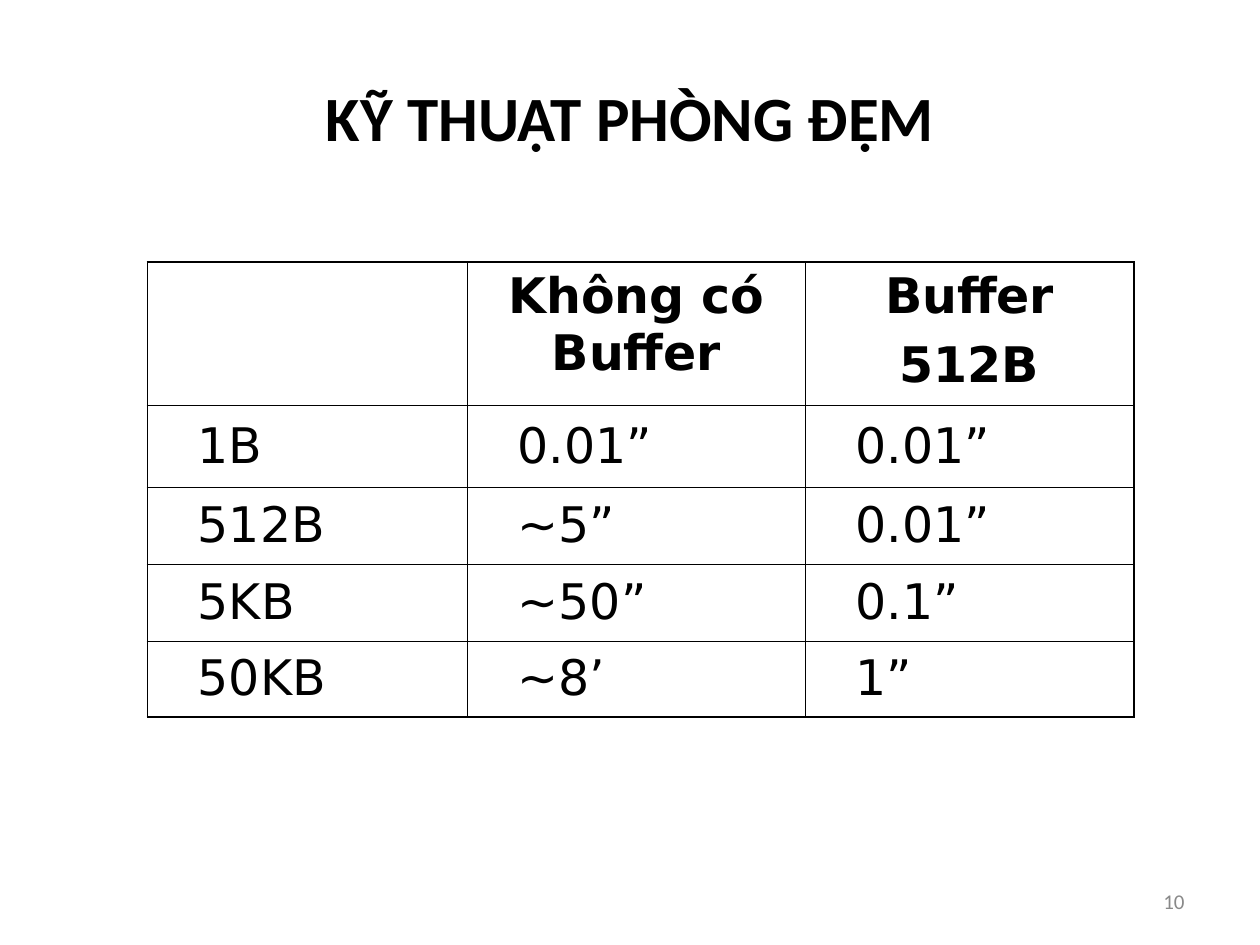
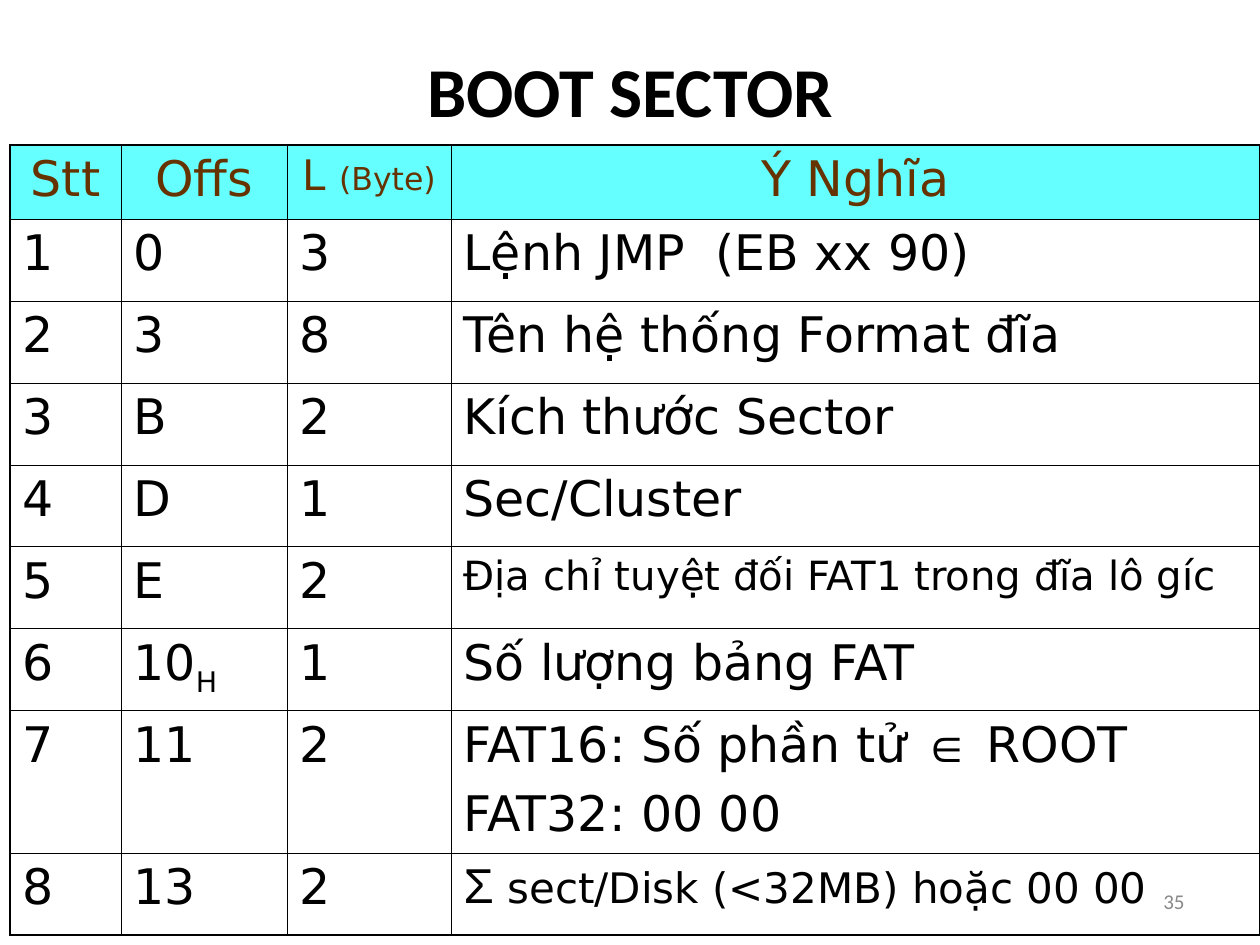
from dataclasses import dataclass

from lxml import etree
from pptx import Presentation
from pptx import util as u
from pptx.dml import color
from pptx.enum import text
from pptx.oxml import ns

BLACK, GREY, BROWN, CYAN = "000000", "898989", "663300", "66FFFF"
HEADING_FONT, TABLE_FONT, SYMBOL_FONT = "Calibri", "DejaVu Sans", "Arial"
THIN, THICK = 0.45, 1.08
CENTER, LEFT, RIGHT = text.PP_ALIGN.CENTER, text.PP_ALIGN.LEFT, text.PP_ALIGN.RIGHT
TOP, MIDDLE = text.MSO_ANCHOR.TOP, text.MSO_ANCHOR.MIDDLE


@dataclass
class Run:
    text: str
    size: float = 28
    font: str = TABLE_FONT
    subscript: bool = False


@dataclass
class CellStyle:
    color: str = BLACK
    bold: bool = False
    fill: str | None = None
    align: text.PP_ALIGN = LEFT
    anchor: text.MSO_ANCHOR = TOP
    indent: float = 0.1


Cell = str | list[list[Run]]


@dataclass
class Grid:
    left: float
    top: float
    cols: list[float]
    rows: list[float]
    cells: list[list[Cell]]
    header: CellStyle
    body: CellStyle


@dataclass
class TableSlide:
    title: str
    title_size: float
    title_height: float
    number: str
    grid: Grid


BUFFER_TIMES = Grid(
    1.17, 2.08, [2.54, 2.68, 2.61], [1.14, 0.65, 0.61, 0.61, 0.6],
    [
        ["", "Không có Buffer", "Buffer\n512B"],
        ["1B", "0.01”", "0.01”"],
        ["512B", "~5”", "0.01”"],
        ["5KB", "~50”", "0.1”"],
        ["50KB", "~8’", "1”"],
    ],
    header=CellStyle(bold=True, align=CENTER),
    body=CellStyle(anchor=MIDDLE, indent=0.4),
)

BOOT_FIELDS = Grid(
    0.08, 1.15, [0.88, 1.32, 1.3, 6.42], [0.59] + [0.65] * 6 + [1.13, 0.65],
    [
        ["Stt", "Offs", [[Run("L ", 24), Run("(Byte)", 18)]], "Ý Nghĩa"],
        ["1", "0", "3", "Lệnh JMP  (EB xx 90)"],
        ["2", "3", "8", "Tên hệ thống Format đĩa"],
        ["3", "B", "2", "Kích thước Sector"],
        ["4", "D", "1", "Sec/Cluster"],
        ["5", "E", "2", [[Run("Địa chỉ tuyệt đối FAT1 trong đĩa lô gíc", 23)]]],
        ["6", [[Run("10"), Run("H", subscript=True)]], "1", "Số lượng bảng FAT"],
        ["7", "11", "2", [
            [Run("FAT16: Số phần tử "), Run("∈", font=SYMBOL_FONT), Run(" ROOT")],
            [Run("FAT32: 00 00")],
        ]],
        ["8", "13", "2", [
            [Run("Σ ", font=SYMBOL_FONT), Run("sect/Disk (<32MB) hoặc 00 00", 24)],
        ]],
    ],
    header=CellStyle(color=BROWN, fill=CYAN, align=CENTER),
    body=CellStyle(),
)

SLIDES = [
    TableSlide("KỸ THUẬT PHÒNG ĐỆM", 36, 1.25, "10", BUFFER_TIMES),
    TableSlide("BOOT SECTOR", 40, 0.82, "35", BOOT_FIELDS),
]


def rgb(value: str) -> color.RGBColor:
    return color.RGBColor.from_string(value)


def add_run(p, run: Run, hex_color: str, bold: bool = False) -> None:
    r = p.add_run()
    r.text = run.text
    r.font.name = run.font
    r.font.size = u.Pt(run.size)
    r.font.bold = bold
    r.font.color.rgb = rgb(hex_color)
    if run.subscript:
        r.font._element.set("baseline", "-25000")


def add_border(cell, side: str, width: float) -> None:
    tc_pr = cell._tc.get_or_add_tcPr()
    ln = etree.SubElement(tc_pr, ns.qn(f"a:ln{side}"), w=str(u.Pt(width)))
    fill = etree.SubElement(ln, ns.qn("a:solidFill"))
    etree.SubElement(fill, ns.qn("a:srgbClr"), val=BLACK)


def fill_cell(cell, content: Cell, style: CellStyle) -> None:
    if style.fill:
        cell.fill.solid()
        cell.fill.fore_color.rgb = rgb(style.fill)
    else:
        cell.fill.background()
    cell.vertical_anchor = style.anchor
    cell.margin_left = u.Inches(style.indent)
    if not content:
        return
    if isinstance(content, str):
        content = [[Run(line)] for line in content.split("\n")]
    tf = cell.text_frame
    for i, runs in enumerate(content):
        p = tf.add_paragraph() if i else tf.paragraphs[0]
        p.alignment = style.align
        p.space_before = u.Pt(runs[-1].size / 4)
        for run in runs:
            add_run(p, run, style.color, style.bold)


def add_grid(s, grid: Grid) -> None:
    n_rows, n_cols = len(grid.rows), len(grid.cols)
    table = s.shapes.add_table(
        n_rows, n_cols, u.Inches(grid.left), u.Inches(grid.top),
        u.Inches(sum(grid.cols)), u.Inches(sum(grid.rows)),
    ).table
    table.first_row = table.horz_banding = False
    for column, width in zip(table.columns, grid.cols):
        column.width = u.Inches(width)
    for i, height in enumerate(grid.rows):
        table.rows[i].height = u.Inches(height)
        for j, content in enumerate(grid.cells[i]):
            cell = table.cell(i, j)
            outer = {"L": j == 0, "R": j == n_cols - 1, "T": i == 0, "B": i == n_rows - 1}
            for side, is_outer in outer.items():
                add_border(cell, side, THICK if is_outer else THIN)
            fill_cell(cell, content, grid.body if i else grid.header)


def add_number(s, number: str) -> None:
    sp = s.shapes.add_textbox(u.Inches(7.17), u.Inches(6.95), u.Inches(2.33), u.Inches(0.4))
    tf = sp.text_frame
    tf.word_wrap = True
    tf.vertical_anchor = MIDDLE
    p = tf.paragraphs[0]
    p.alignment = RIGHT
    add_run(p, Run(number, 12, HEADING_FONT), GREY)


def set_title(s, title: str, size: float, height: float) -> None:
    sp = s.shapes.title
    sp.left, sp.top = u.Inches(0.5), u.Inches(0.3)
    sp.width, sp.height = u.Inches(9), u.Inches(height)
    tf = sp.text_frame
    tf.vertical_anchor = MIDDLE
    p = tf.paragraphs[0]
    p.alignment = CENTER
    add_run(p, Run(title, size, HEADING_FONT), BLACK, bold=True)


def main() -> None:
    prs = Presentation()
    prs.slide_width, prs.slide_height = u.Inches(10), u.Inches(7.5)
    title_only = prs.slide_layouts.get_by_name("Title Only")
    for page in SLIDES:
        s = prs.slides.add_slide(title_only)
        set_title(s, page.title, page.title_size, page.title_height)
        add_number(s, page.number)
        add_grid(s, page.grid)
    prs.save("out.pptx")


if __name__ == "__main__":
    main()
